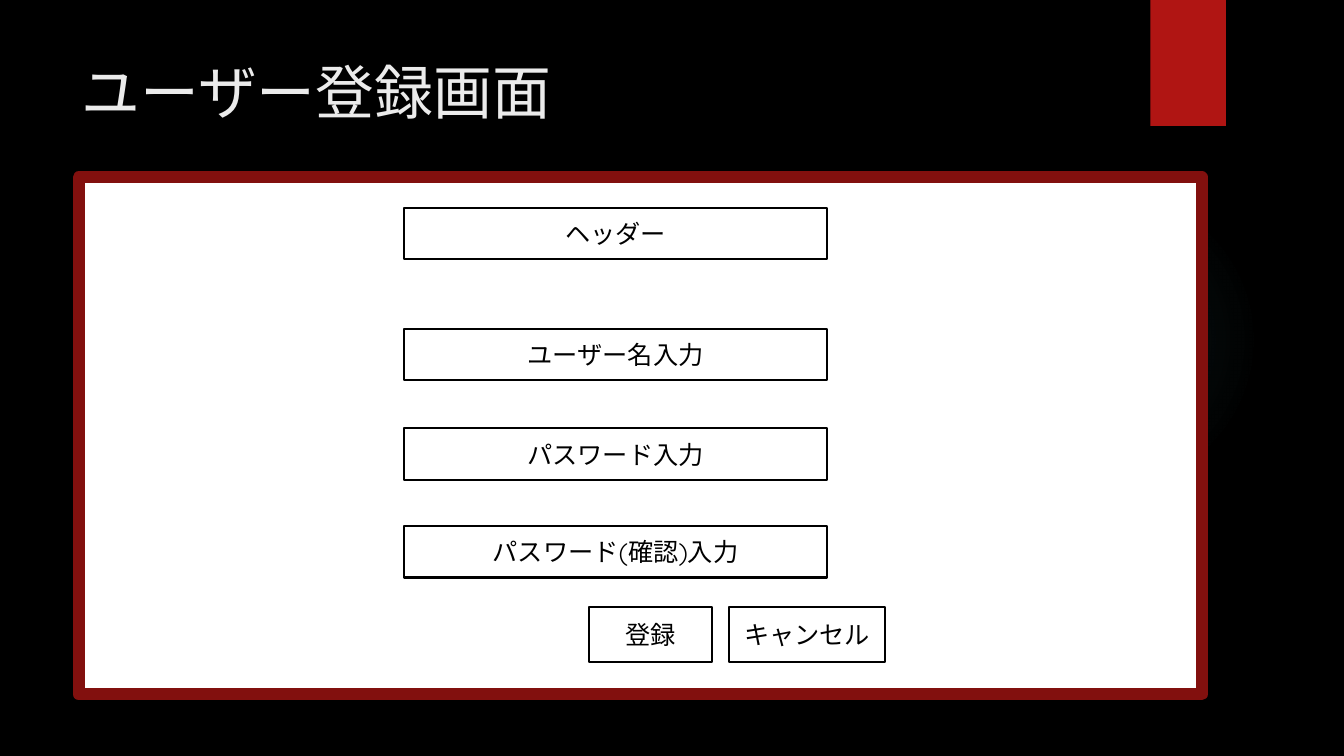
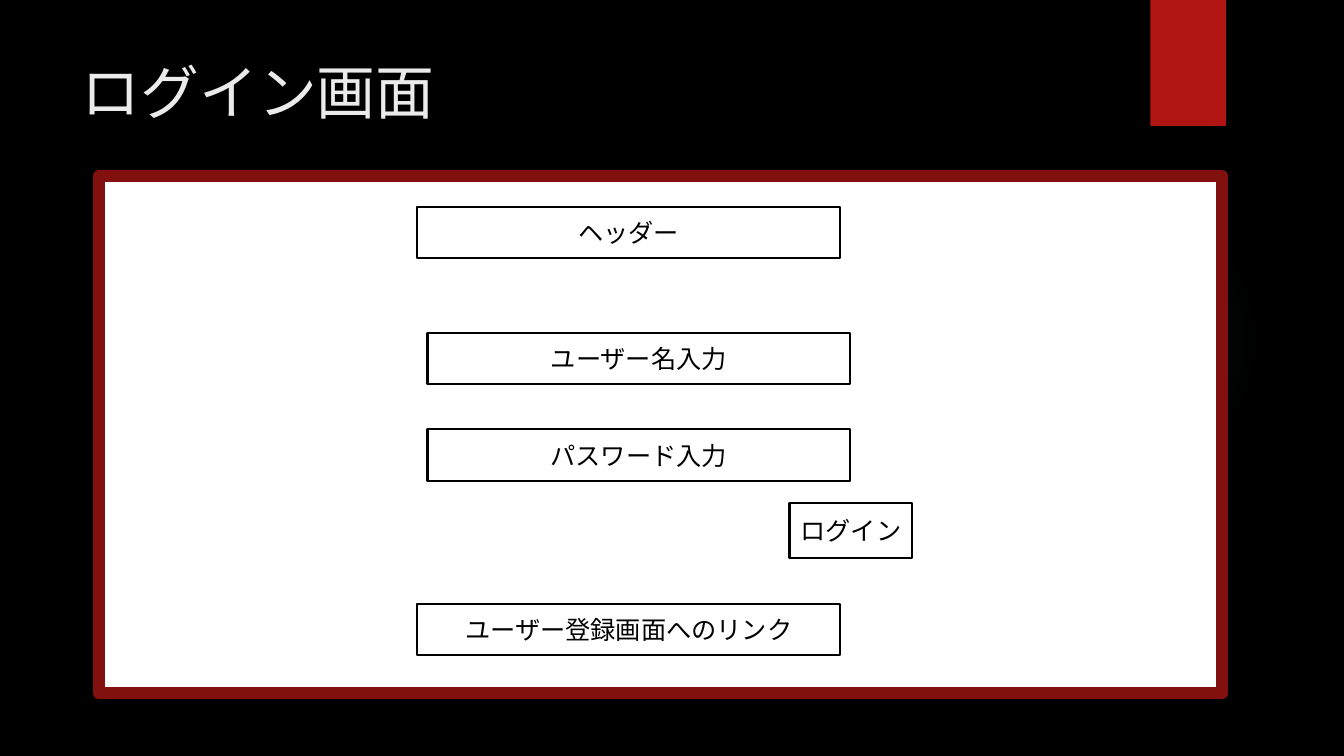
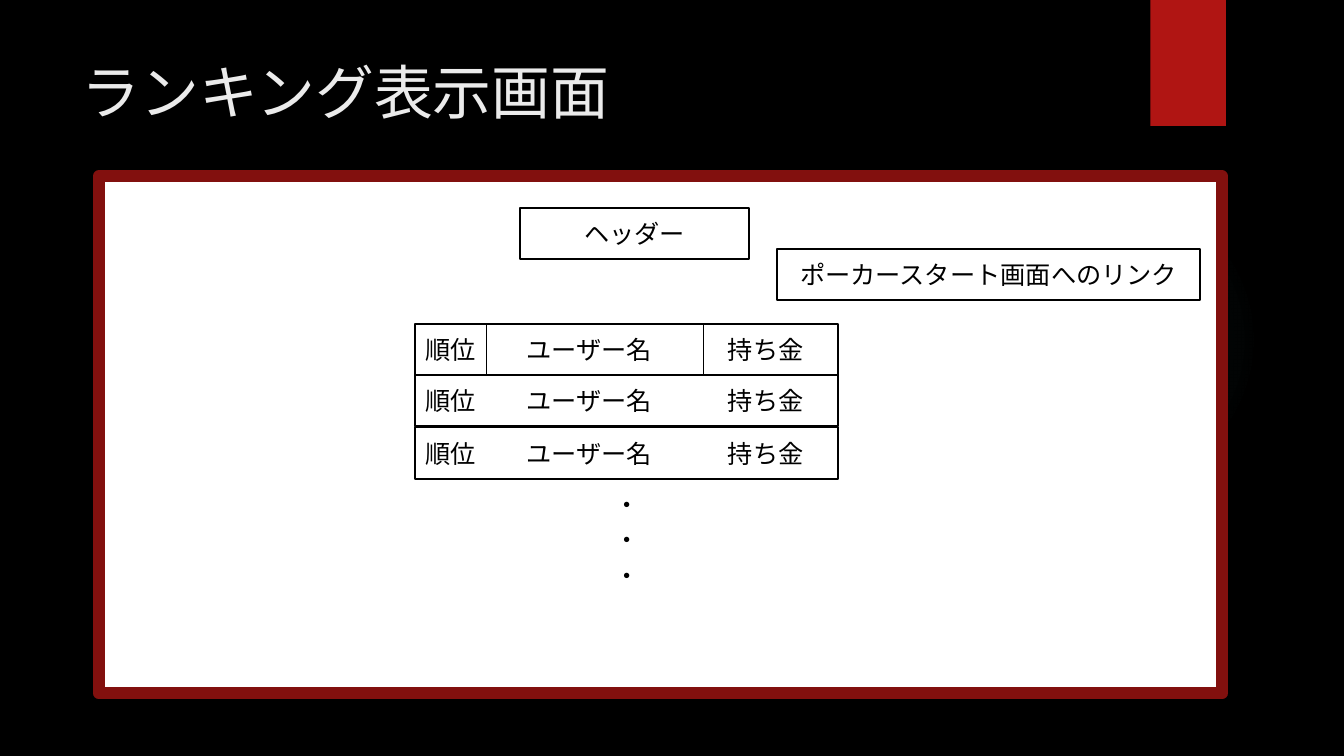
from pptx import Presentation, util as u
from pptx.dml.color import RGBColor
from pptx.enum import lang, shapes, text
from pptx.oxml import parse_xml
from pptx.oxml.ns import nsdecls

BLACK = RGBColor(0x00, 0x00, 0x00)
WHITE = RGBColor(0xFF, 0xFF, 0xFF)
TITLE = RGBColor(0xEB, 0xEB, 0xEB)
RED = RGBColor(0xB0, 0x15, 0x13)
DARK_RED = RGBColor(0x82, 0x10, 0x0E)
TEAL = RGBColor(0x50, 0xB9, 0xC1)

FONT = "Quicksand"
PX = 9144                       # 100 px to the inch
PANEL_W, PANEL_H = 1114, 513
FIELD_W, FIELD_H = 419, 51
BUTTON_W, BUTTON_H = 122, 55


def px(*lengths):
    return [u.Emu(n * PX) for n in lengths]


def write(tf, words, size=18, color=BLACK, align=text.PP_ALIGN.CENTER,
          anchor=text.MSO_ANCHOR.MIDDLE, tabs=()):
    """Put one formatted paragraph in a text frame; tabs are px from its left."""
    tf.word_wrap = True
    tf.auto_size = text.MSO_AUTO_SIZE.NONE
    tf.vertical_anchor = anchor
    p = tf.paragraphs[0]
    p.alignment = align
    if tabs:
        stops = "".join(f'<a:tab pos="{n * PX}" algn="l"/>' for n in tabs)
        p._p.get_or_add_pPr().append(
            parse_xml(f'<a:tabLst {nsdecls("a")}>{stops}</a:tabLst>'))
    r = p.add_run()
    r.text = words
    r.font.size = u.Pt(size)
    r.font.name = FONT
    r.font.color.rgb = color
    r.font.language_id = lang.MSO_LANGUAGE_ID.JAPANESE
    r.font._element.append(parse_xml(f'<a:ea {nsdecls("a")} typeface="{FONT}"/>'))


def add_box(s, x, y, w, h, fill=None, line=None, weight=1.5,
            kind=shapes.MSO_SHAPE.RECTANGLE):
    sp = s.shapes.add_shape(kind, *px(x, y, w, h))
    sp.shadow.inherit = False
    if fill is None:
        sp.fill.background()
    else:
        sp.fill.solid()
        sp.fill.fore_color.rgb = fill
    if line is None:
        sp.line.fill.background()
    else:
        sp.line.color.rgb = line
        sp.line.width = u.Pt(weight)
    return sp


def add_field(s, panel, x, y, words, w=FIELD_W, h=FIELD_H, **fmt):
    """Outlined box, placed from the panel's corner."""
    sp = add_box(s, panel[0] + x, panel[1] + y, w, h, line=BLACK)
    write(sp.text_frame, words, **fmt)


def add_divider(s, x, y, h):
    cn = s.shapes.add_connector(shapes.MSO_CONNECTOR.STRAIGHT, *px(x, y, x, y + h))
    cn.line.color.rgb = BLACK
    cn.line.width = u.Pt(0.75)
    cn._element.spPr.append(parse_xml(f'<a:effectLst {nsdecls("a")}/>'))


def style_layout(prs, layout, s):
    """Background, glow, red band and title place, shared by every slide."""
    fill = prs.slide_master.background.fill
    fill.solid()
    fill.fore_color.rgb = BLACK

    glow = add_box(s, 941, 183, 308, 308, kind=shapes.MSO_SHAPE.OVAL)
    stops = "".join(
        f'<a:gs pos="{pos}000"><a:srgbClr val="{TEAL}">'
        f'<a:alpha val="{alpha}000"/></a:srgbClr></a:gs>'
        for pos, alpha in ((0, 7), (36, 6), (69, 0), (100, 0)))
    grad = parse_xml(
        f'<a:gradFill {nsdecls("a")}><a:gsLst>{stops}</a:gsLst><a:path path="circle">'
        '<a:fillToRect l="50000" t="50000" r="50000" b="50000"/></a:path></a:gradFill>')
    spPr = glow._element.spPr
    spPr.replace(spPr.find("{*}noFill"), grad)

    band = add_box(s, 1141, 0, 75, 125, fill=RED)
    for i, sp in enumerate((glow, band)):
        sp._element.nvSpPr.cNvPr.set("id", str(100 + i))
        layout.shapes.element.insert(2 + i, sp._element)

    title = layout.placeholders[0]
    title.left, title.top, title.width, title.height = px(71, 50, 1029, 153)


def add_screen(s, title, x, y):
    """Title and white panel; returns the panel's corner."""
    write(s.shapes.title.text_frame, title, size=42, color=TITLE,
          align=text.PP_ALIGN.LEFT, anchor=text.MSO_ANCHOR.TOP)
    add_box(s, x, y, PANEL_W, PANEL_H, fill=WHITE, line=DARK_RED, weight=8.5)
    return x, y


def registration(s):
    panel = add_screen(s, "ユーザー登録画面", 78, 176)
    for y, words in ((30, "ヘッダー"), (150, "ユーザー名入力"),
                     (249, "パスワード入力"), (346, "パスワード(確認)入力")):
        add_field(s, panel, 323, y, words)
    add_field(s, panel, 506, 426, "登録", w=BUTTON_W, h=BUTTON_H)
    add_field(s, panel, 645, 426, "キャンセル", w=155, h=BUTTON_H)


def login(s):
    panel = add_screen(s, "ログイン画面", 98, 175)
    for x, y, words in ((316, 30, "ヘッダー"), (326, 155, "ユーザー名入力"),
                        (326, 251, "パスワード入力"),
                        (316, 424, "ユーザー登録画面へのリンク")):
        add_field(s, panel, x, y, words)
    add_field(s, panel, 685, 324, "ログイン", w=BUTTON_W, h=BUTTON_H)


def ranking(s):
    panel = add_screen(s, "ランキング表示画面", 98, 175)
    add_field(s, panel, 418, 31, "ヘッダー", w=227)
    add_field(s, panel, 673, 72, "ポーカースタート画面へのリンク")

    # Ranking rows, with dividers in the first
    left, top = 314, 146
    for i in range(3):
        add_field(s, panel, left, top + i * 103 // 2, "順位\tユーザー名\t持ち金",
                  align=text.PP_ALIGN.LEFT, tabs=(100, 300))
    for x in (71, 286):
        add_divider(s, panel[0] + left + x, panel[1] + top, FIELD_H)

    # Dots that continue the list
    for i in range(3):
        dot = s.shapes.add_textbox(
            *px(panel[0] + left, panel[1] + 300 + 35 * i, FIELD_W, FIELD_H))
        write(dot.text_frame, "・")


def main():
    prs = Presentation()
    prs.slide_width, prs.slide_height = px(1333, 750)
    layout = prs.slide_layouts[5]
    screens = (registration, login, ranking)
    slides = [prs.slides.add_slide(layout) for _ in screens]
    style_layout(prs, layout, slides[0])
    for build, s in zip(screens, slides):
        build(s)
    prs.save("out.pptx")


if __name__ == "__main__":
    main()
